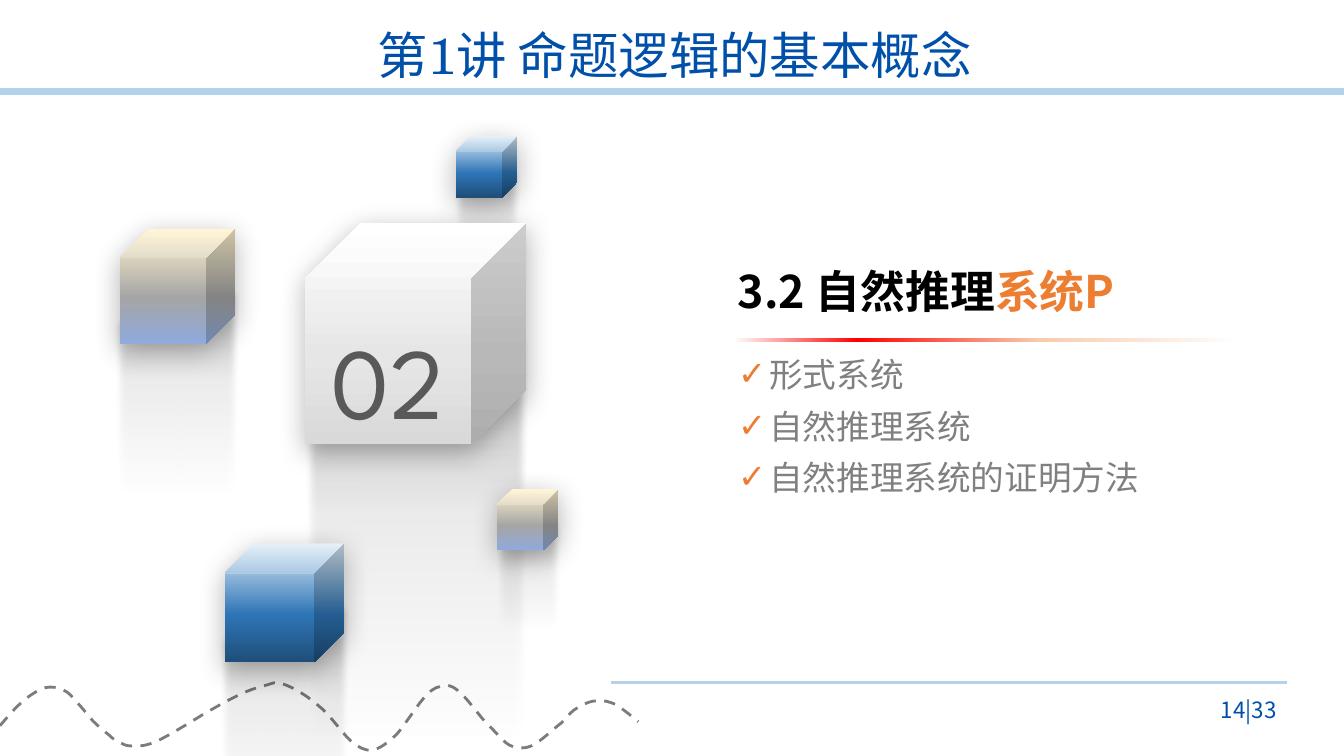
from dataclasses import dataclass

from lxml import etree
from pptx import Presentation
from pptx.dml.color import RGBColor
from pptx.enum.dml import MSO_LINE
from pptx.enum.shapes import MSO_CONNECTOR, MSO_SHAPE
from pptx.enum.text import MSO_ANCHOR, MSO_AUTO_SIZE, PP_ALIGN
from pptx.oxml.ns import qn
from pptx.util import Inches, Pt

CUBE = MSO_SHAPE.CUBE
ROUNDED = MSO_SHAPE.ROUNDED_RECTANGLE
STRAIGHT = MSO_CONNECTOR.STRAIGHT
DASH = MSO_LINE.DASH
TOP, MIDDLE, BOTTOM = MSO_ANCHOR.TOP, MSO_ANCHOR.MIDDLE, MSO_ANCHOR.BOTTOM
LEFT, CENTER, RIGHT = PP_ALIGN.LEFT, PP_ALIGN.CENTER, PP_ALIGN.RIGHT
FIXED = MSO_AUTO_SIZE.NONE

SANS = "Noto Sans CJK SC"
SERIF = "TeX Gyre Schola"
NUMERAL = "League Spartan"
NAVY, ORANGE, PALE_BLUE = "0050AA", "ED7D31", "B5D2EC"

Box = tuple[float, float, float, float]


@dataclass(frozen=True)
class Stop:
    position: int
    color: str
    opacity: int = 100


@dataclass(frozen=True)
class Block:
    cube: Box
    reflection: Box
    stops: tuple[Stop, ...]
    number: str = ""


@dataclass(frozen=True)
class Rule:
    left: float
    right: float
    y: float
    weight: float


BLUE = (Stop(1, "DEEBF7"), Stop(60, "2E75B6"), Stop(100, "1F4E79"))
SAND = (Stop(1, "FFF2CC"), Stop(60, "A5A5A5"), Stop(100, "8FAADC"))
WHITE = (Stop(0, "FFFFFF"), Stop(60, "E7E6E6"), Stop(100, "D9D9D9"))
FADE = (Stop(30, "000000", 0), Stop(50, "000000", 4),
        Stop(70, "000000", 8), Stop(100, "262626", 30))
GLOW = (Stop(1, "FFFFFF"), Stop(25, "FF0000"), Stop(60, "F8CBAD"), Stop(99, "FFFFFF"))

BLOCKS = (
    Block((4.52, 1.35, 0.61, 0.61), (4.49, 1.66, 0.68, 1.66), BLUE),
    Block((3.03, 2.21, 2.19, 2.2), (3.02, 3.32, 2.22, 5.94), WHITE, "02"),
    Block((2.23, 5.39, 1.18, 1.18), (2.17, 5.98, 1.31, 3.2), BLUE),
    Block((4.93, 4.85, 0.61, 0.61), (4.9, 5.16, 0.68, 1.66), SAND),
    Block((1.19, 2.27, 1.14, 1.14), (1.13, 2.85, 1.26, 3.09), SAND),
)
RULES = (Rule(0, 13.33, 0.91, 5), Rule(6.06, 12.76, 6.77, 1.75))
TOPICS = ("形式系统", "自然推理系统", "自然推理系统的证明方法")

WAVE_START = (0, 7.2)
WAVE_CURVES = (
    (0.06, 7.13, 0.11, 7.07, 0.17, 7.01), (0.22, 6.96, 0.28, 6.91, 0.33, 6.88),
    (0.38, 6.85, 0.41, 6.83, 0.46, 6.82), (0.51, 6.81, 0.57, 6.82, 0.62, 6.84),
    (0.66, 6.86, 0.68, 6.87, 0.73, 6.93), (0.78, 6.98, 0.87, 7.09, 0.92, 7.15),
    (0.98, 7.21, 1.04, 7.26, 1.08, 7.29), (1.12, 7.33, 1.15, 7.35, 1.18, 7.36),
    (1.22, 7.38, 1.24, 7.4, 1.3, 7.4), (1.36, 7.4, 1.42, 7.41, 1.54, 7.36),
    (1.66, 7.31, 2.01, 7.09, 2.01, 7.09), (2.15, 7.01, 2.27, 6.94, 2.38, 6.89),
    (2.48, 6.84, 2.56, 6.82, 2.63, 6.8), (2.71, 6.78, 2.73, 6.75, 2.82, 6.79),
    (2.91, 6.82, 3.06, 6.91, 3.17, 7.01), (3.28, 7.1, 3.4, 7.28, 3.48, 7.35),
    (3.57, 7.42, 3.62, 7.45, 3.69, 7.44), (3.77, 7.43, 3.84, 7.37, 3.93, 7.29),
    (4.01, 7.2, 4.13, 7.01, 4.2, 6.93), (4.27, 6.85, 4.31, 6.82, 4.37, 6.81),
    (4.42, 6.79, 4.47, 6.79, 4.54, 6.85), (4.62, 6.91, 4.74, 7.08, 4.82, 7.17),
    (4.91, 7.25, 4.98, 7.35, 5.05, 7.39), (5.13, 7.43, 5.19, 7.43, 5.27, 7.4),
    (5.36, 7.36, 5.49, 7.23, 5.57, 7.17), (5.64, 7.1, 5.67, 7.05, 5.73, 7.02),
    (5.79, 6.98, 5.87, 6.95, 5.94, 6.95), (6, 6.95, 6.04, 6.96, 6.11, 6.99),
    (6.17, 7.03, 6.25, 7.09, 6.33, 7.16),
)


def rgb(color: str) -> RGBColor:
    return RGBColor.from_string(color)


def emu(lengths: tuple[float, ...]) -> tuple:
    return tuple(Inches(length) for length in lengths)


def add_element(parent, tag: str, **attributes):
    values = {key: str(value) for key, value in attributes.items()}
    return etree.SubElement(parent, qn(tag), values)


def add_color(parent, color: str, opacity: int = 100) -> None:
    value = add_element(parent, "a:srgbClr", val=color)
    if opacity < 100:
        add_element(value, "a:alpha", val=opacity * 1000)


def style_font(font, size: float, color: str, name: str = SANS, bold: bool = False) -> None:
    font.size, font.name, font.bold = Pt(size), name, bold
    font.color.rgb = rgb(color)
    add_element(font._rPr, "a:ea", typeface=SANS)


def place(shape, box: Box, anchor) -> None:
    shape.left, shape.top, shape.width, shape.height = emu(box)
    frame = shape.text_frame
    frame.word_wrap, frame.auto_size, frame.vertical_anchor = True, FIXED, anchor


def add_gradient_shape(shapes, kind, box: Box, stops: tuple[Stop, ...], angle: int):
    shape = shapes.add_shape(kind, *emu(box))
    shape.shadow.inherit = False
    shape.line.fill.background()
    shape.fill.gradient()
    gradient = shape._element.spPr.find(qn("a:gradFill"))
    stop_list = gradient.find(qn("a:gsLst"))
    for old_stop in list(stop_list):
        stop_list.remove(old_stop)
    for stop in stops:
        add_color(add_element(stop_list, "a:gs", pos=stop.position * 1000),
                  stop.color, stop.opacity)
    gradient.find(qn("a:lin")).set("ang", str(angle * 60000))
    return shape


def add_block(slide, block: Block) -> None:
    group = slide.shapes.add_group_shape()
    reflection = add_gradient_shape(group.shapes, CUBE, block.reflection, FADE, 90)
    reflection.rotation = 180
    add_element(reflection._element.spPr.find(qn("a:effectLst")), "a:softEdge", rad=Pt(5))
    cube = add_gradient_shape(group.shapes, CUBE, block.cube, block.stops, 90)
    shadow = add_element(cube._element.spPr.find(qn("a:effectLst")), "a:outerShdw",
                         blurRad=Pt(20), dist=Pt(5), dir=90 * 60000, rotWithShape=0)
    add_color(shadow, "000000", 30)
    if block.number:
        cube.text_frame.vertical_anchor = MIDDLE
        number = cube.text_frame.paragraphs[0]
        number.text, number.alignment, number.line_spacing = block.number, CENTER, 1.3
        style_font(number.font, 72, "595959", NUMERAL)


def add_rule(slide, rule: Rule) -> None:
    line = slide.shapes.add_connector(
        STRAIGHT, *emu((rule.left, rule.y, rule.right, rule.y)))
    line.line.color.rgb, line.line.width = rgb(PALE_BLUE), Pt(rule.weight)
    add_element(line._element.spPr, "a:effectLst")


def add_wave(slide) -> None:
    builder = slide.shapes.build_freeform(*emu(WAVE_START))
    builder.add_line_segments([emu(curve[4:]) for curve in WAVE_CURVES], close=False)
    wave = builder.convert_to_shape()
    wave.shadow.inherit = False
    wave.fill.background()
    wave.line.color.rgb, wave.line.width, wave.line.dash_style = rgb("7C7C7C"), Pt(2), DASH
    outline = next(wave._element.iter(qn("a:path")))
    for segment in outline.findall(qn("a:lnTo")):
        outline.remove(segment)
    for curve in WAVE_CURVES:
        bezier = add_element(outline, "a:cubicBezTo")
        for x, y in zip(curve[::2], curve[1::2]):
            add_element(bezier, "a:pt", x=Inches(x) - wave.left, y=Inches(y) - wave.top)


def fill_topics(body) -> None:
    place(body, (7.22, 3.46, 4.25, 1.53), TOP)
    for index, topic in enumerate(TOPICS):
        frame = body.text_frame
        item = frame.add_paragraph() if index else frame.paragraphs[0]
        item.text, item.alignment = topic, LEFT
        item.space_before = Pt(8.1 if index else 0)
        properties = item._p.get_or_add_pPr()
        properties.set("marL", str(Inches(0.31)))
        properties.set("indent", str(Inches(-0.31)))
        add_color(add_element(properties, "a:buClr"), ORANGE)
        add_element(properties, "a:buChar", char="✓")
        style_font(item.font, 24, "808080")


def main() -> None:
    deck = Presentation()
    deck.slide_width, deck.slide_height = Inches(13.33), Inches(7.5)
    slide = deck.slides.add_slide(deck.slide_layouts[1])
    title, body = slide.placeholders
    for rule in RULES:
        add_rule(slide, rule)
    add_wave(slide)
    for block in BLOCKS:
        add_block(slide, block)

    place(title, (1.57, 0.25, 10.24, 0.65), MIDDLE)
    lecture = title.text_frame.paragraphs[0]
    lecture.text, lecture.alignment, lecture.line_spacing = "第1讲 命题逻辑的基本概念", CENTER, 0.9
    style_font(lecture.font, 36, NAVY, SERIF)

    section = slide.shapes.add_textbox(0, 0, 0, 0)
    place(section, (7.22, 2.56, 5.3, 0.64), BOTTOM)
    for words, color in (("3.2 自然推理", "000000"), ("系统P", ORANGE)):
        run = section.text_frame.paragraphs[0].add_run()
        run.text = words
        style_font(run.font, 32, color, bold=True)
    underline = add_gradient_shape(slide.shapes, ROUNDED, (7.22, 3.35, 5.12, 0.04), GLOW, 0)
    underline.adjustments[0] = 0.5
    fill_topics(body)

    page = slide.shapes.add_textbox(0, 0, 0, 0)
    place(page, (11.71, 6.84, 1.05, 0.4), MIDDLE)
    page_number = page.text_frame.paragraphs[0]
    page_number.text, page_number.alignment = "14|33", RIGHT
    style_font(page_number.font, 16, NAVY)
    deck.save("out.pptx")


if __name__ == "__main__":
    main()
